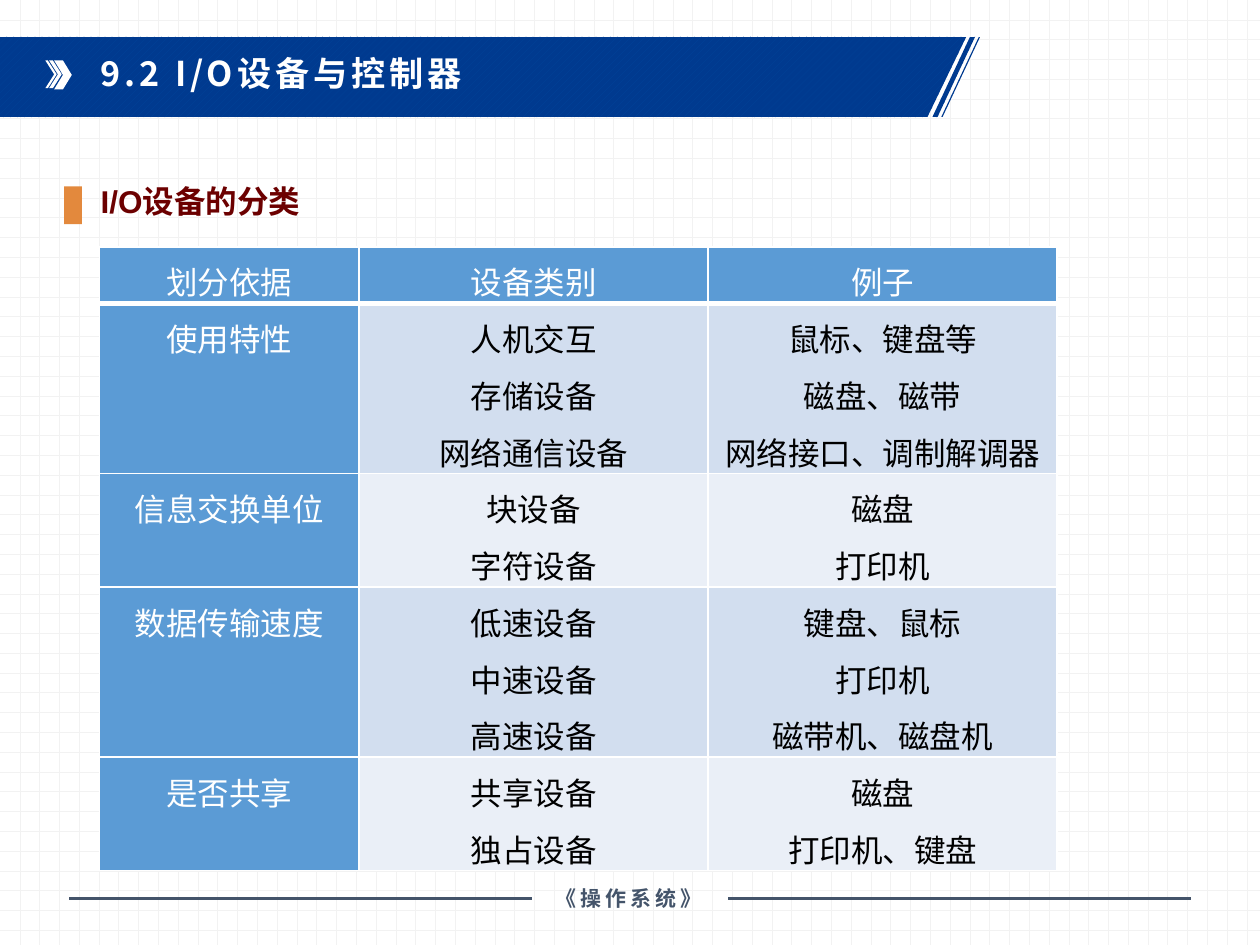
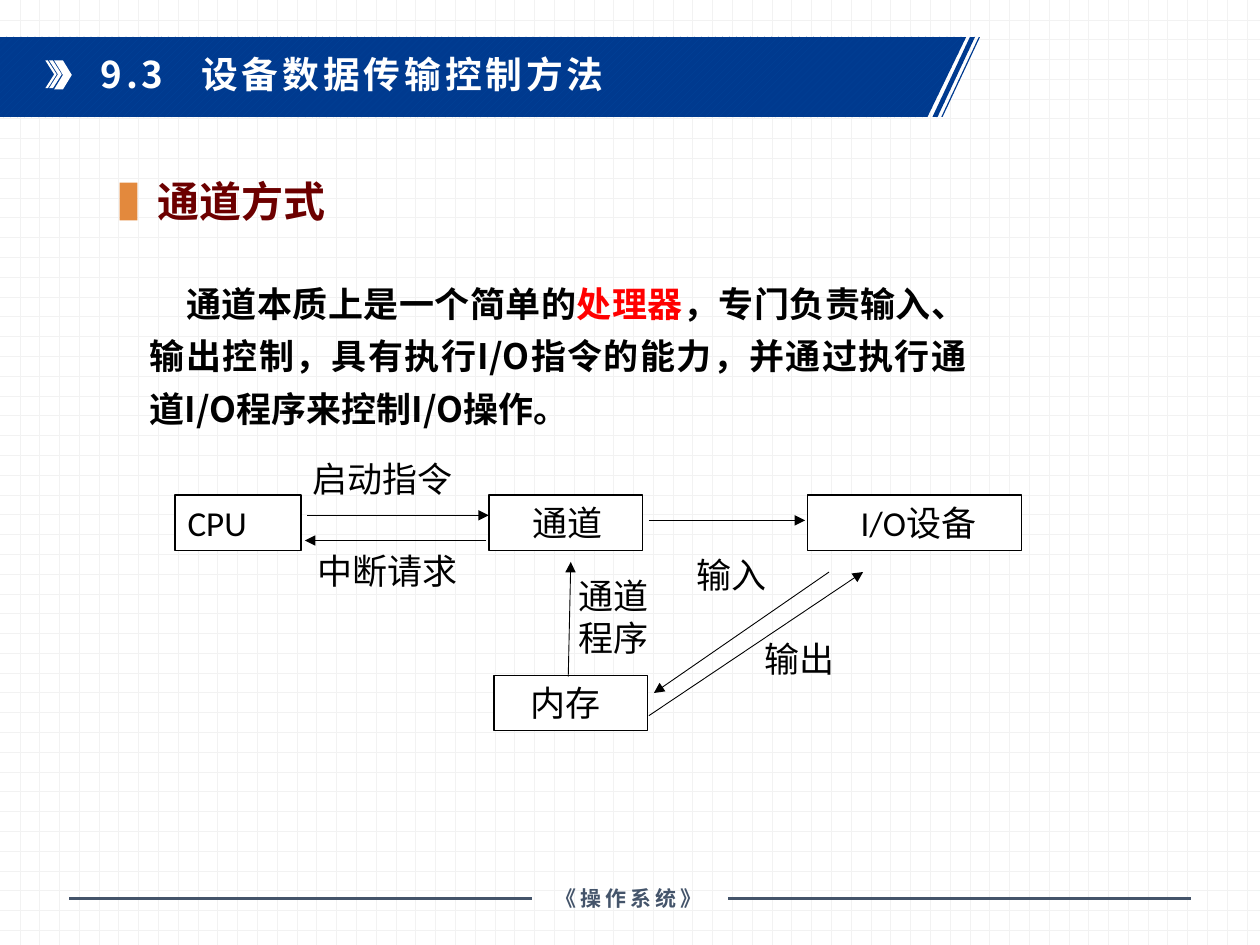
"""Build two operating-systems slides on I/O devices and the channel method."""
from dataclasses import dataclass
from typing import NamedTuple

import lxml.etree
import pptx
import pptx.dml.color
import pptx.dml.fill
import pptx.enum.dml
import pptx.enum.shapes
import pptx.enum.text
import pptx.oxml.ns
import pptx.presentation
import pptx.shapes.autoshape
import pptx.slide
import pptx.table
import pptx.text.text
import pptx.util
from pptx.util import Inches

RGBColor = pptx.dml.color.RGBColor
WHITE = RGBColor(0xFF, 0xFF, 0xFF)
BLACK = RGBColor(0x00, 0x00, 0x00)
RED = RGBColor(0xFF, 0x00, 0x00)
GRID_GRAY = RGBColor(0xF2, 0xF2, 0xF2)
BAND_BLUE = RGBColor(0x00, 0x3A, 0x8F)
BAND_STRIPE = RGBColor(0x00, 0x44, 0x9A)
SLATE = RGBColor(0x44, 0x54, 0x6A)
MAROON = RGBColor(0x6C, 0x00, 0x00)
ORANGE = RGBColor(0xE3, 0x89, 0x3D)
TABLE_BLUE = RGBColor(0x5B, 0x9B, 0xD5)
ROW_DARK = RGBColor(0xD2, 0xDE, 0xEF)
ROW_LIGHT = RGBColor(0xEA, 0xEF, 0xF7)

CJK = "Noto Sans CJK SC"
LEFT = pptx.enum.text.PP_ALIGN.LEFT
CENTER = pptx.enum.text.PP_ALIGN.CENTER
JUSTIFY = pptx.enum.text.PP_ALIGN.JUSTIFY
PATTERN = pptx.enum.dml.MSO_PATTERN
SHAPE = pptx.enum.shapes.MSO_SHAPE

Points = list[tuple[float, float]]


class Area(NamedTuple):
    """Left, top, width and height in inches."""
    left: float
    top: float
    width: float
    height: float

    def lengths(self) -> list[pptx.util.Length]:
        """Return the four values as lengths."""
        return [Inches(value) for value in self]


@dataclass(frozen=True)
class Style:
    """Look of a paragraph and its runs."""
    size: float
    font: str = CJK
    color: RGBColor = BLACK
    bold: bool = False
    spacing: float = 0
    align: pptx.enum.text.PP_ALIGN = LEFT
    line_spacing: float = 1.0


@dataclass(frozen=True)
class Node:
    """A labelled box of the channel diagram."""
    text: str
    area: Area
    indent: float = 0


@dataclass(frozen=True)
class Label:
    """A free label of the channel diagram."""
    text: str
    area: Area


class Line(NamedTuple):
    """A straight line between two points."""
    x1: float
    y1: float
    x2: float
    y2: float


FOOTER = Style(12, "Arial", SLATE, True, 2.2, CENTER)
DIAGRAM = Style(20, "Calibri", align=JUSTIFY)
BODY = Style(20, bold=True, align=JUSTIFY, line_spacing=1.25)
CELL = Style(18, align=CENTER, line_spacing=1.25)
HEADER_CELL = Style(18, color=WHITE, align=CENTER, line_spacing=1.25)

BAND_BOTTOM, BAND_TOP = 0.93, 0.29
BAND_PARTS = [(7.77, 7.78, 7.48, 7.47), (7.7, 7.74, 7.44, 7.4), (0, 7.67, 7.36, 0)]
CHEVRON_STRIPES = [(0.39, 0.03), (0.36, 0.02)]
FOOTER_RULES = [Line(9.45, 7.13, 5.78, 7.13), Line(4.22, 7.13, 0.55, 7.13)]

COLUMN_WIDTHS = [2.06, 2.77, 2.77]
LINE_HEIGHT = 0.45
DEVICE_ROWS = [
    ("划分依据", "设备类别", "例子"),
    ("使用特性", "人机交互\n存储设备\n网络通信设备", "鼠标、键盘等\n磁盘、磁带\n网络接口、调制解调器"),
    ("信息交换单位", "块设备\n字符设备", "磁盘\n打印机"),
    ("数据传输速度", "低速设备\n中速设备\n高速设备", "键盘、鼠标\n打印机\n磁带机、磁盘机"),
    ("是否共享", "共享设备\n独占设备", "磁盘\n打印机、键盘"),
]
ROW_HEIGHTS = [LINE_HEIGHT * len(kinds.splitlines()) for _, kinds, _ in DEVICE_ROWS]

CHANNEL_TEXT = [
    ("通道本质上是一个简单的", BLACK),
    ("处理器", RED),
    ("，专门负责输入、输出控制，具有执行I/O指令的能力，并通过执行通道I/O程序来控制I/O操作。", BLACK),
]
NODES = [
    Node("CPU", Area(1.39, 3.93, 1, 0.44)),
    Node("通道", Area(3.88, 3.93, 1.22, 0.44), 0.25),
    Node("I/O设备", Area(6.41, 3.93, 1.7, 0.44), 0.32),
    Node("内存", Area(3.92, 5.36, 1.22, 0.44), 0.19),
]
ARROWS = [
    Line(2.44, 4.09, 3.88, 4.09),
    Line(3.86, 4.29, 2.42, 4.29),
    Line(5.15, 4.13, 6.39, 4.13),
    Line(4.51, 5.37, 4.53, 4.46),
    Line(6.58, 4.54, 5.19, 5.5),
    Line(5.15, 5.68, 6.85, 4.54),
]
LABELS = [
    Label("启动指令", Area(2.38, 3.58, 1.55, 0.77)),
    Label("中断请求", Area(2.42, 4.31, 1.55, 0.77)),
    Label("通道\n程序", Area(4.49, 4.51, 0.98, 1.45)),
    Label("输入", Area(5.43, 4.34, 1.09, 0.44)),
    Label("输出", Area(5.97, 5.01, 1.09, 0.44)),
]


def add_element(parent: lxml.etree._Element, tag: str, **attributes: str) -> lxml.etree._Element:
    """Append a DrawingML element."""
    return lxml.etree.SubElement(parent, pptx.oxml.ns.qn(tag), attributes)


def format_text(frame: pptx.text.text.TextFrame, style: Style) -> None:
    """Apply a style to all the text of a frame."""
    frame.word_wrap = True
    for paragraph in frame.paragraphs:
        paragraph.alignment = style.align
        paragraph.line_spacing = style.line_spacing
        for run in paragraph.runs:
            run.font.size = pptx.util.Pt(style.size)
            run.font.name = style.font
            run.font.bold = style.bold
            run.font.color.rgb = style.color
            properties = run._r.get_or_add_rPr()
            add_element(properties, "a:ea", typeface=style.font)
            if style.spacing:
                properties.set("spc", str(round(style.spacing * 100)))


def add_text(slide: pptx.slide.Slide, text: str, area: Area, style: Style) -> pptx.text.text.TextFrame:
    """Add a text box and return its frame."""
    frame = slide.shapes.add_textbox(*area.lengths()).text_frame
    frame.text = text
    format_text(frame, style)
    return frame


def finish_shape(shape: pptx.shapes.autoshape.Shape, color: RGBColor) -> None:
    """Give a shape a plain fill without line or shadow."""
    shape.shadow.inherit = False
    shape.fill.solid()
    shape.fill.fore_color.rgb = color
    shape.line.fill.background()


def add_preset(slide: pptx.slide.Slide, kind: pptx.enum.shapes.MSO_SHAPE, area: Area,
               color: RGBColor) -> pptx.shapes.autoshape.Shape:
    """Add a plain preset shape."""
    shape = slide.shapes.add_shape(kind, *area.lengths())
    finish_shape(shape, color)
    return shape


def add_outline(slide: pptx.slide.Slide, contours: list[Points],
                color: RGBColor) -> pptx.shapes.autoshape.Shape:
    """Add a freeform made of closed contours."""
    scaled = [[(Inches(x), Inches(y)) for x, y in contour] for contour in contours]
    builder = slide.shapes.build_freeform(*scaled[0][0])
    builder.add_line_segments(scaled[0][1:])
    for contour in scaled[1:]:
        builder.move_to(*contour[0])
        builder.add_line_segments(contour[1:])
    shape = builder.convert_to_shape()
    finish_shape(shape, color)
    return shape


def set_pattern(fill: pptx.dml.fill.FillFormat, pattern: pptx.enum.dml.MSO_PATTERN,
                front: RGBColor, back: RGBColor) -> None:
    """Fill with a two-colour pattern."""
    fill.patterned()
    fill.pattern = pattern
    fill.fore_color.rgb = front
    fill.back_color.rgb = back


def add_line(slide: pptx.slide.Slide, line: Line, color: RGBColor, width: float,
             arrow: bool = False) -> None:
    """Add a straight line, with an arrowhead at its end if asked."""
    connector = slide.shapes.add_connector(
        pptx.enum.shapes.MSO_CONNECTOR.STRAIGHT, *[Inches(value) for value in line])
    connector.line.color.rgb = color
    connector.line.width = pptx.util.Pt(width)
    if arrow:
        add_element(connector.line._get_or_add_ln(), "a:tailEnd", type="triangle")
    add_element(connector._element.spPr, "a:effectLst")


def add_base_slide(presentation: pptx.presentation.Presentation) -> pptx.slide.Slide:
    """Add a slide with the shared background, band and footer."""
    slide = presentation.slides.add_slide(presentation.slide_layouts[6])
    set_pattern(slide.background.fill, PATTERN.DOTTED_GRID, GRID_GRAY, WHITE)
    contours = [[(a, BAND_TOP), (b, BAND_TOP), (c, BAND_BOTTOM), (d, BAND_BOTTOM)]
                for a, b, c, d in BAND_PARTS]
    band = add_outline(slide, contours, BAND_BLUE)
    set_pattern(band.fill, PATTERN.WIDE_UPWARD_DIAGONAL, BAND_STRIPE, BAND_BLUE)
    add_preset(slide, SHAPE.CHEVRON, Area(0.43, 0.48, 0.14, 0.23), WHITE)
    for x, width in CHEVRON_STRIPES:
        tip = x + 0.07
        add_outline(slide, [[(x, 0.48), (x + width, 0.48), (tip + width, 0.59),
                             (x + width, 0.7), (x, 0.7), (tip, 0.59)]], WHITE)
    footer = add_text(slide, "《操作系统》", Area(4.21, 6.98, 1.56, 0.3), FOOTER)
    footer.vertical_anchor = pptx.enum.text.MSO_ANCHOR.MIDDLE
    for rule in FOOTER_RULES:
        add_line(slide, rule, SLATE, 2)
    return slide


def add_title(slide: pptx.slide.Slide, text: str, width: float, size: float) -> pptx.text.text.TextFrame:
    """Add the white title on the band."""
    style = Style(size, color=WHITE, bold=True, spacing=2.2, line_spacing=0.9)
    return add_text(slide, text, Area(0.7, 0.4, width, 0.56), style)


def add_heading(slide: pptx.slide.Slide, text: str, area: Area, marker: Area, size: float, font: str) -> None:
    """Add a maroon heading with its orange marker."""
    add_text(slide, text, area, Style(size, font, MAROON, True, line_spacing=0.9))
    add_preset(slide, SHAPE.RECTANGLE, marker, ORANGE)


def style_cell(cell: pptx.table._Cell, row: int, column: int) -> None:
    """Set the margins, borders, fill and text style of a table cell."""
    cell.margin_left = cell.margin_right = Inches(0.07)
    cell.margin_top = cell.margin_bottom = 0
    widths = {"L": 1, "R": 1, "T": 3 if row == 1 else 1, "B": 3 if row == 0 else 1}
    for side, width in widths.items():
        border = add_element(cell._tc.get_or_add_tcPr(), f"a:ln{side}", w=str(pptx.util.Pt(width)))
        add_element(add_element(border, "a:solidFill"), "a:srgbClr", val=str(WHITE))
    is_header = row == 0 or column == 0
    cell.fill.solid()
    cell.fill.fore_color.rgb = TABLE_BLUE if is_header else ROW_DARK if row % 2 else ROW_LIGHT
    format_text(cell.text_frame, HEADER_CELL if is_header else CELL)


def add_device_table(slide: pptx.slide.Slide) -> None:
    """Add the table of device classes."""
    area = Area(0.79, 1.96, sum(COLUMN_WIDTHS), sum(ROW_HEIGHTS))
    table = slide.shapes.add_table(len(ROW_HEIGHTS), len(COLUMN_WIDTHS), *area.lengths()).table
    table.horz_banding = False
    for column, width in zip(table.columns, COLUMN_WIDTHS):
        column.width = Inches(width)
    for row_index, texts in enumerate(DEVICE_ROWS):
        table.rows[row_index].height = Inches(ROW_HEIGHTS[row_index])
        for column_index, text in enumerate(texts):
            cell = table.cell(row_index, column_index)
            cell.text_frame.text = text
            style_cell(cell, row_index, column_index)


def add_channel_text(slide: pptx.slide.Slide) -> None:
    """Add the paragraph that explains the channel."""
    frame = slide.shapes.add_textbox(*Area(1.09, 2.11, 6.68, 1.36).lengths()).text_frame
    paragraph = frame.paragraphs[0]
    for text, _ in CHANNEL_TEXT:
        paragraph.add_run().text = text
    format_text(frame, BODY)
    for run, (_, color) in zip(paragraph.runs, CHANNEL_TEXT):
        run.font.color.rgb = color
    paragraph._p.get_or_add_pPr().set("indent", str(Inches(0.29)))


def add_channel_diagram(slide: pptx.slide.Slide) -> None:
    """Add the boxes, arrows and labels of the channel diagram."""
    for node in NODES:
        shape = add_preset(slide, SHAPE.RECTANGLE, node.area, WHITE)
        shape.line.color.rgb = BLACK
        shape.line.width = pptx.util.Pt(0.75)
        shape.text_frame.text = node.text
        shape.text_frame.margin_left = Inches(0.1 + node.indent)
        shape.text_frame.vertical_anchor = pptx.enum.text.MSO_ANCHOR.TOP
        format_text(shape.text_frame, DIAGRAM)
    for arrow in ARROWS:
        add_line(slide, arrow, BLACK, 0.5, arrow=True)
    for label in LABELS:
        add_text(slide, label.text, label.area, DIAGRAM)


def main() -> None:
    """Build and save the presentation."""
    presentation = pptx.Presentation()
    presentation.slide_width, presentation.slide_height = Inches(10), Inches(7.5)

    devices = add_base_slide(presentation)
    add_title(devices, "9.2 I/O设备与控制器", 3.2, 19.5)
    add_heading(devices, "I/O设备的分类", Area(0.7, 1.43, 8.76, 0.41), Area(0.51, 1.48, 0.14, 0.3), 18, "Arial")
    add_device_table(devices)

    channel = add_base_slide(presentation)
    title = add_title(channel, "9.3\t设备数据传输控制方法", 4.51, 21)
    tabs = add_element(title.paragraphs[0]._p.get_or_add_pPr(), "a:tabLst")
    add_element(tabs, "a:tab", pos=str(Inches(0.8)), algn="l")
    add_heading(channel, "通道方式", Area(1.15, 1.39, 2.31, 0.41), Area(0.95, 1.45, 0.14, 0.3), 24, CJK)
    add_channel_text(channel)
    add_channel_diagram(channel)
    presentation.save("out.pptx")


if __name__ == "__main__":
    main()
